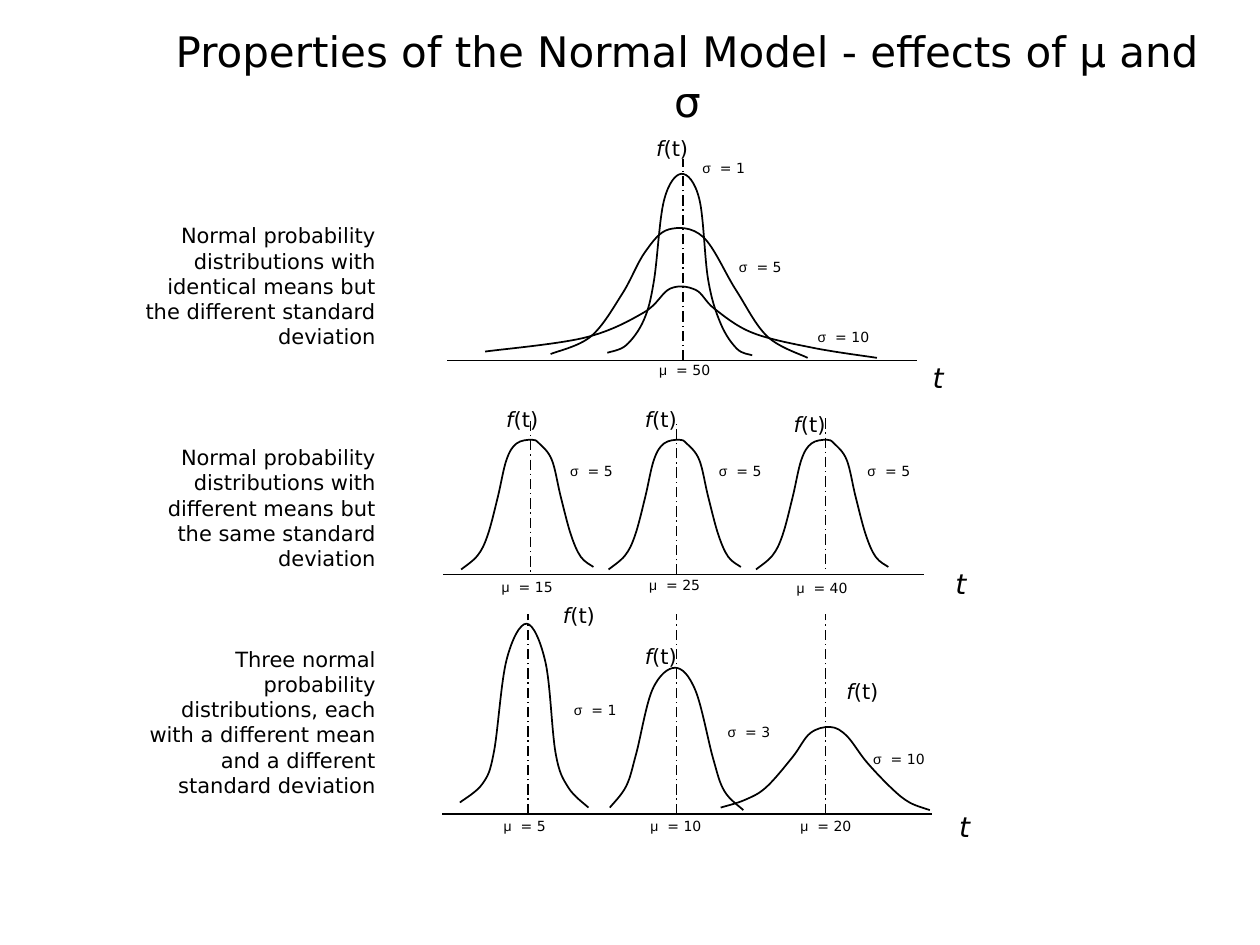
from pptx import Presentation
from pptx.dml.color import RGBColor
from pptx.enum.dml import MSO_LINE
from pptx.enum.shapes import MSO_CONNECTOR
from pptx.enum.text import MSO_ANCHOR, MSO_AUTO_SIZE, PP_ALIGN
from pptx.oxml.ns import qn
from pptx.util import Inches, Pt
from lxml.etree import SubElement

BLACK = "000000"
FONT = "DejaVu Sans"


def color(hex_string):
    return RGBColor.from_string(hex_string)


def add_text(left, top, width, height, size, runs, align=PP_ALIGN.CENTER):
    """Each run is (text, font name, italic)."""
    box = slide.shapes.add_textbox(
        Inches(left), Inches(top), Inches(width), Inches(height))
    frame = box.text_frame
    frame.word_wrap = True
    frame.auto_size = MSO_AUTO_SIZE.SHAPE_TO_FIT_TEXT
    paragraph = frame.paragraphs[0]
    paragraph.alignment = align
    paragraph.font.size = Pt(size)
    paragraph.font.color.rgb = color(BLACK)
    for text, font_name, italic in runs:
        run = paragraph.add_run()
        run.text = text
        run.font.name = font_name
        run.font.italic = italic


presentation = Presentation()
presentation.slide_width = Inches(10)
presentation.slide_height = Inches(7.5)
slide = presentation.slides.add_slide(presentation.slide_layouts[5])

# Title
title = slide.shapes.title
title.left, title.top = Inches(1.14), Inches(0.15)
title.width, title.height = Inches(8.73), Inches(0.9)
title.text_frame.text = "Properties of the Normal Model - effects of μ and σ"
title.text_frame.word_wrap = False
title.text_frame.auto_size = MSO_AUTO_SIZE.NONE
title.text_frame.vertical_anchor = MSO_ANCHOR.TOP
title.text_frame.margin_right = Inches(0.2)
paragraph = title.text_frame.paragraphs[0]
paragraph.alignment = PP_ALIGN.CENTER
paragraph.font.name = FONT
paragraph.font.size = Pt(24)
paragraph.font.color.rgb = color(BLACK)

# Descriptions of the three rows
descriptions = [
    (1.72, 1.1, "Normal probability distributions with identical means "
                "but the different standard deviation"),
    (3.48, 1.1, "Normal probability distributions with different means "
                "but the same standard deviation"),
    (5.08, 1.3, "Three normal probability distributions, each with a "
                "different mean and a different standard deviation"),
]
for top, height, text in descriptions:
    add_text(0.98, top, 2.1, height, 12, [(text, FONT, False)], PP_ALIGN.RIGHT)

# Axes and dash-dot mean lines: x1, y1, x2, y2
axes = [(3.55, 2.86, 7.28, 2.86), (3.52, 4.56, 7.33, 4.56),
        (3.51, 6.46, 7.4, 6.46)]
mean_lines = [(5.42, 2.86, 5.42, 1.26), (4.21, 3.34, 4.21, 4.55),
              (5.37, 4.56, 5.37, 3.35), (6.55, 3.32, 6.55, 4.54)]
mean_lines += [(x, 6.46, x, 4.87) for x in (4.19, 5.37, 6.55)]
for ends in axes + mean_lines:
    line = slide.shapes.add_connector(
        MSO_CONNECTOR.STRAIGHT, *[Inches(value) for value in ends])
    line.line.color.rgb = color(BLACK)
    line.line.width = Pt(0.75)
    if ends in mean_lines:
        line.line.dash_style = MSO_LINE.LONG_DASH_DOT
    SubElement(line._element.spPr, qn("a:effectLst"))

# Knots of the bell curves
same_sigma = [
    (3.66, 4.52), (3.79, 4.41), (3.87, 4.25), (3.95, 3.95), (4.02, 3.65),
    (4.1, 3.52), (4.22, 3.49), (4.28, 3.52), (4.38, 3.65), (4.45, 3.94),
    (4.53, 4.24), (4.61, 4.42), (4.71, 4.5)]
curves = [
    # Same mean
    [(3.85, 2.79), (4.64, 2.68), (5.11, 2.48), (5.32, 2.29), (5.52, 2.3),
     (5.67, 2.45), (5.97, 2.64), (6.45, 2.76), (6.96, 2.84)],
    [(4.37, 2.81), (4.69, 2.67), (4.94, 2.33), (5.12, 2), (5.31, 1.82),
     (5.58, 1.88), (5.84, 2.3), (6.09, 2.67), (6.41, 2.84)],
    [(4.82, 2.8), (4.97, 2.74), (5.11, 2.54), (5.19, 2.23), (5.27, 1.59),
     (5.41, 1.38), (5.55, 1.58), (5.62, 2.22), (5.72, 2.57), (5.85, 2.77),
     (5.97, 2.82)],
    # Different mean and deviation
    [(3.65, 6.37), (3.83, 6.22), (3.92, 5.97), (4.02, 5.24), (4.18, 4.95),
     (4.33, 5.26), (4.41, 5.98), (4.51, 6.25), (4.67, 6.41)],
    [(4.84, 6.41), (4.97, 6.24), (5.05, 5.98), (5.18, 5.47), (5.36, 5.3),
     (5.52, 5.48), (5.66, 6.02), (5.75, 6.28), (5.9, 6.43)],
    [(5.72, 6.41), (5.91, 6.35), (6.08, 6.25), (6.29, 6.01), (6.43, 5.82),
     (6.59, 5.77), (6.72, 5.84), (6.88, 6.05), (7.08, 6.26), (7.22, 6.37),
     (7.38, 6.43)],
]
# Same deviation: one curve at three equally spaced means
curves += [[(x + 1.17 * i, y) for x, y in same_sigma] for i in range(3)]

for knots in curves:
    points = [(Inches(x), Inches(y)) for x, y in knots]
    builder = slide.shapes.build_freeform(*points[0])
    builder.add_line_segments(points[1:], close=False)
    curve = builder.convert_to_shape()
    curve.shadow.inherit = False
    curve.fill.background()
    curve.line.color.rgb = color(BLACK)
    curve.line.width = Pt(1)

    # Turn each straight piece into a Bézier piece, smooth at the knots
    padded = [points[0], *points, points[-1]]
    pieces = list(curve._element.iter(qn("a:lnTo")))
    for piece, p0, p1, p2, p3 in zip(
            pieces, padded, padded[1:], padded[2:], padded[3:]):
        bezier = piece.getparent()
        cubic = SubElement(bezier, qn("a:cubicBezTo"))
        bezier.replace(piece, cubic)
        controls = [
            [b + (c - a) / 6 for a, b, c in zip(p0, p1, p2)],
            [b - (c - a) / 6 for a, b, c in zip(p1, p2, p3)],
            p2]
        for x, y in controls:
            SubElement(cubic, qn("a:pt"), x=str(round(x - curve.left)),
                       y=str(round(y - curve.top)))

# Mean and deviation labels: left, top, symbol, value
parameters = [
    (5.1, 2.82, "μ", 50), (6.36, 2.56, "σ", 10), (5.7, 2, "σ", 5),
    (5.41, 1.22, "σ", 1),
    (4.36, 3.62, "σ", 5), (5.54, 3.62, "σ", 5), (6.72, 3.62, "σ", 5),
    (3.85, 4.54, "μ", 15), (5.02, 4.53, "μ", 25), (6.19, 4.55, "μ", 40),
    (4.39, 5.52, "σ", 1), (5.61, 5.69, "σ", 3), (6.8, 5.91, "σ", 10),
    (3.83, 6.44, "μ", 5), (5.03, 6.44, "μ", 10), (6.22, 6.44, "μ", 20),
]
for left, top, symbol, value in parameters:
    add_text(left, top, 0.67, 0.23, 8,
             [(symbol, "Arial", False), (f"  = {value}", FONT, False)])

# Density labels
for left, top in [(5, 1.03), (3.81, 3.18), (4.91, 3.18), (6.09, 3.22),
                  (4.26, 4.73), (4.91, 5.06), (6.51, 5.34)]:
    add_text(left, top, 0.67, 0.3, 12,
             [("f", FONT, True), ("(t)", FONT, False)])

# Axis labels
for left, top in [(7.11, 2.81), (7.29, 4.45), (7.32, 6.38)]:
    add_text(left, top, 0.67, 0.37, 16, [("t", FONT, True)])

presentation.save("out.pptx")
